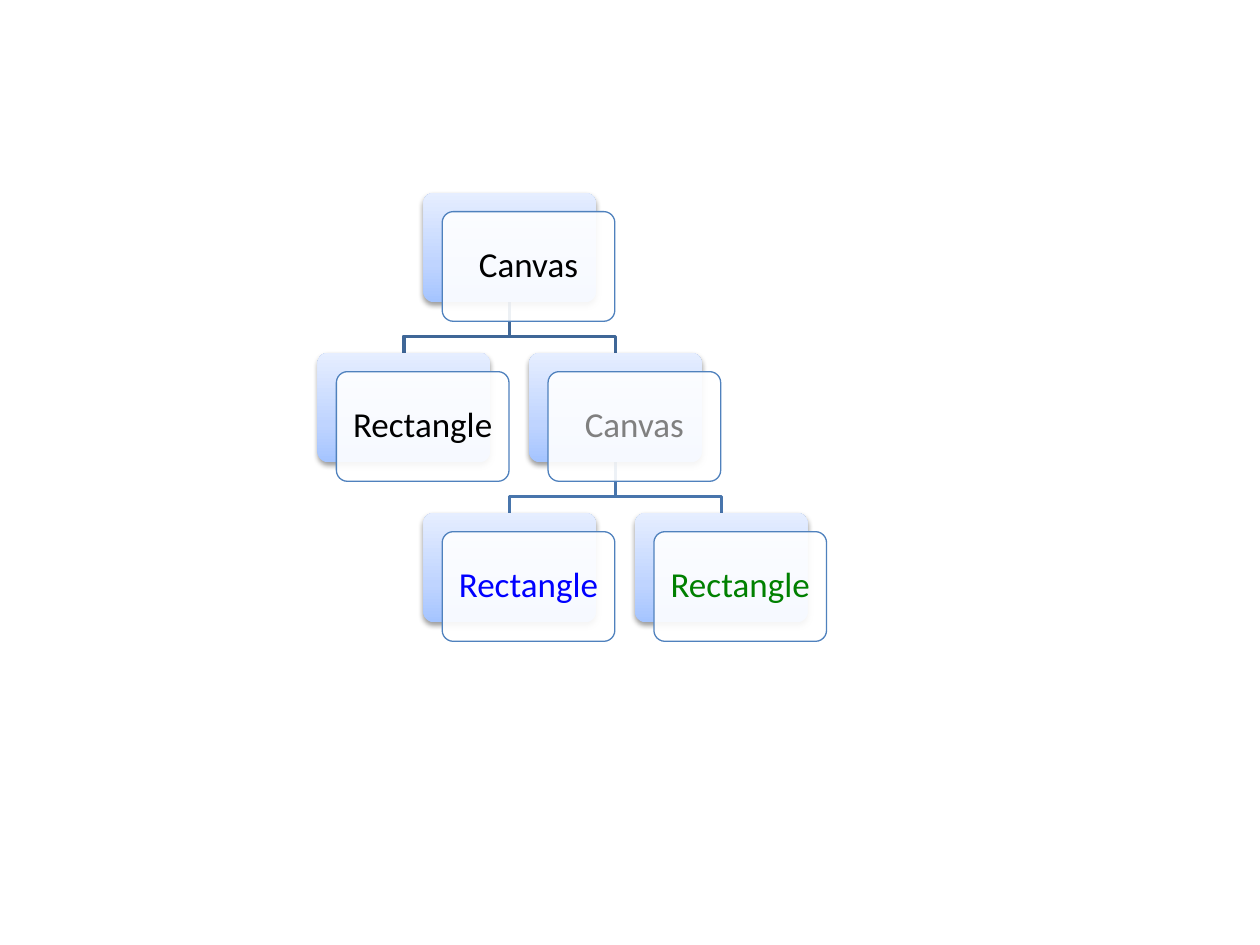
from pptx import Presentation
from pptx import util as u
from pptx.dml.color import RGBColor
from pptx.enum import shapes, text
from pptx.oxml import parse_xml
from pptx.oxml.ns import nsdecls, qn

BLACK = RGBColor(0x00, 0x00, 0x00)
GREY = RGBColor(0x80, 0x80, 0x80)
BLUE = RGBColor(0x00, 0x00, 0xFF)
GREEN = RGBColor(0x00, 0x80, 0x00)
WHITE = RGBColor(0xFF, 0xFF, 0xFF)
EDGE = RGBColor(0x4F, 0x81, 0xBD)
LINKS = [RGBColor(0x3F, 0x67, 0x97), RGBColor(0x48, 0x75, 0xAC)]
STOPS = [(0, RGBColor(0xA4, 0xC4, 0xFF)), (35, RGBColor(0xBF, 0xD4, 0xFF)),
         (100, RGBColor(0xE6, 0xEE, 0xFF))]

# Card size, offset of the front card, and tree grid steps, in inches
WIDE, HIGH, SHIFT = 1.37, 0.87, 0.15
STEP_X, STEP_Y, BEND = 0.84, 1.27, 0.27

# Label, colour, column, row, index of the parent
NODES = [
    ("Canvas", BLACK, 1, 0, None),
    ("Rectangle", BLACK, 0, 1, 0),
    ("Canvas", GREY, 2, 1, 0),
    ("Rectangle", BLUE, 1, 2, 2),
    ("Rectangle", GREEN, 3, 2, 2),
]


def style(obj, **vals):
    for key, val in vals.items():
        setattr(obj, key, val)


def add_card(slide, x, y):
    card = slide.shapes.add_shape(
        shapes.MSO_SHAPE.ROUNDED_RECTANGLE,
        u.Inches(x), u.Inches(y), u.Inches(WIDE), u.Inches(HIGH))
    card.adjustments[0] = 0.1
    card.shadow.inherit = False
    return card


def add_back(slide, x, y):
    """Shaded card, dark at the foot, with a soft shadow below."""
    card = add_card(slide, x, y)
    card.line.fill.background()
    card.fill.gradient()
    card.fill.gradient_angle = 90
    props = card.element.spPr
    stops = props.find(qn("a:gradFill")).find(qn("a:gsLst"))
    stops.clear()
    for pos, shade in STOPS:
        stops.append(parse_xml(
            f'<a:gs {nsdecls("a")} pos="{pos * 1000}">'
            f'<a:srgbClr val="{shade}"/></a:gs>'))
    props.find(qn("a:effectLst")).append(parse_xml(
        f'<a:outerShdw {nsdecls("a")} blurRad="{u.Pt(3.1)}" '
        f'dist="{u.Pt(1.6)}" dir="5400000" rotWithShape="0">'
        f'<a:srgbClr val="{BLACK}"><a:alpha val="38000"/></a:srgbClr>'
        '</a:outerShdw>'))


def add_front(slide, x, y, label, color):
    """Nearly opaque white card that carries the label."""
    card = add_card(slide, x, y)
    card.fill.solid()
    card.fill.fore_color.rgb = WHITE
    tint = card.element.spPr.find(qn("a:solidFill")).find(qn("a:srgbClr"))
    tint.append(parse_xml(f'<a:alpha {nsdecls("a")} val="90000"/>'))
    card.line.color.rgb = EDGE
    card.line.width = u.Pt(0.75)
    frame = card.text_frame
    pad = u.Inches(0.08)
    style(frame, word_wrap=True, vertical_anchor=text.MSO_ANCHOR.MIDDLE,
          margin_left=pad, margin_right=pad, margin_top=pad, margin_bottom=pad)
    para = frame.paragraphs[0]
    style(para, alignment=text.PP_ALIGN.CENTER, line_spacing=0.9)
    run = para.add_run()
    run.text = label
    style(run.font, name="Calibri", size=u.Pt(20))
    run.font.color.rgb = color


def add_link(slide, start, end, color):
    """Elbow from the foot of a parent to the top of its child."""
    (x1, y1), (x2, y2) = start, end
    bend = y1 + BEND
    points = [(u.Inches(x), u.Inches(y))
              for x, y in [(x1, y1), (x1, bend), (x2, bend), (x2, y2)]]
    path = slide.shapes.build_freeform(*points[0])
    path.add_line_segments(points[1:], close=False)
    link = path.convert_to_shape()
    link.shadow.inherit = False
    link.fill.background()
    link.line.color.rgb = color
    link.line.width = u.Pt(2)


def add_tree(slide, left, top):
    spots = [(left + col * STEP_X, top + row * STEP_Y)
             for _, _, col, row, _ in NODES]
    # Links lie behind all cards, the lowest level first
    for (x, y), node in reversed(list(zip(spots, NODES))):
        row, parent = node[3:]
        if parent is not None:
            px, py = spots[parent]
            add_link(slide, (px + WIDE / 2, py + HIGH), (x + WIDE / 2, y),
                     LINKS[row - 1])
    # Cards
    for (x, y), (label, color, *_) in zip(spots, NODES):
        add_back(slide, x, y)
        add_front(slide, x + SHIFT, y + SHIFT, label, color)


def main():
    deck = Presentation()
    style(deck, slide_width=u.Inches(10), slide_height=u.Inches(7.5))
    slide = deck.slides.add_slide(deck.slide_layouts[6])
    add_tree(slide, 2.52, 1.53)
    deck.save("out.pptx")


if __name__ == "__main__":
    main()
